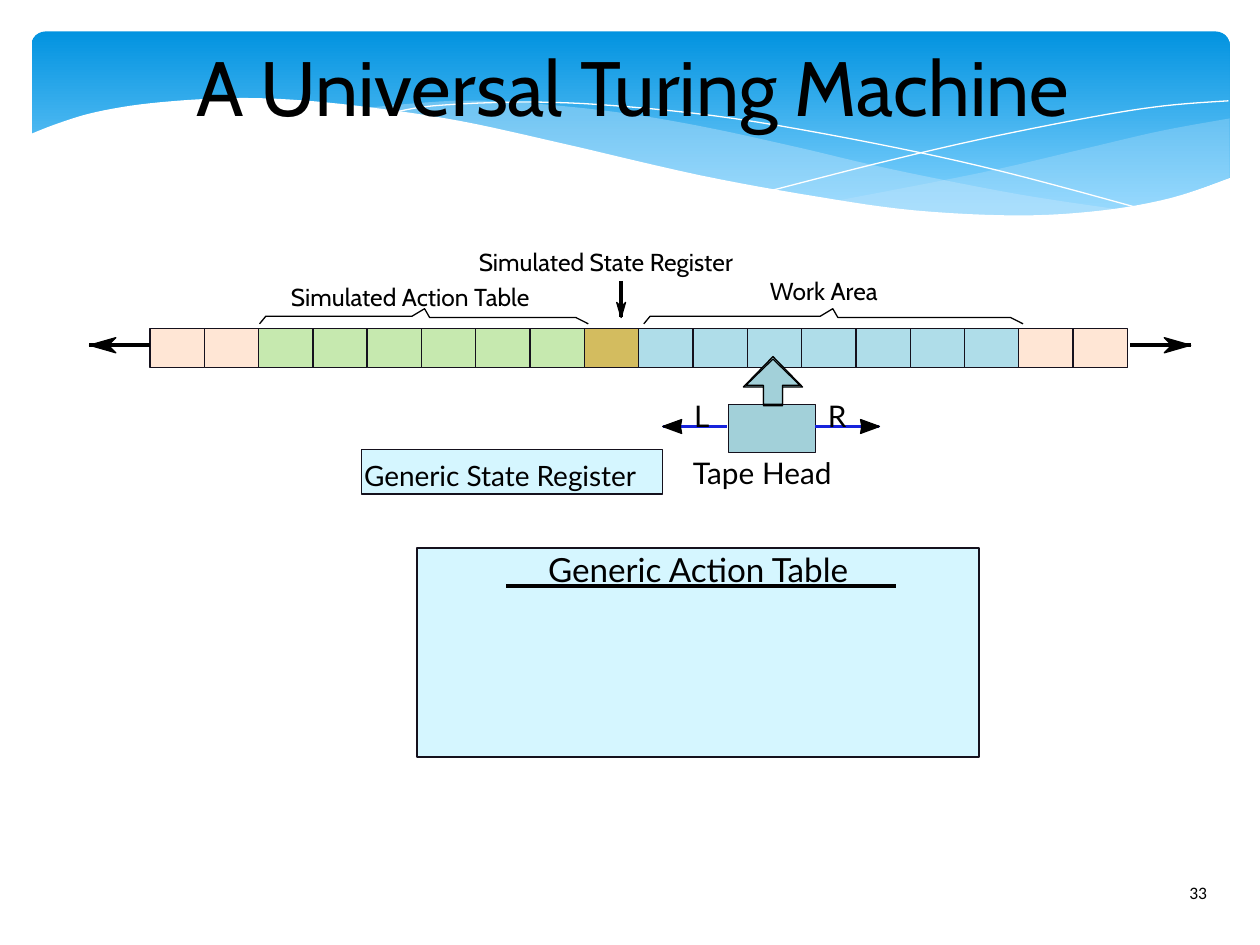
from lxml import etree
from pptx import Presentation
from pptx.dml.color import RGBColor
from pptx.enum.shapes import MSO_CONNECTOR, MSO_SHAPE
from pptx.enum.text import MSO_ANCHOR, MSO_AUTO_SIZE, PP_ALIGN
from pptx.oxml.ns import qn
from pptx.util import Inches, Pt

STRAIGHT = MSO_CONNECTOR.STRAIGHT
RECTANGLE = MSO_SHAPE.RECTANGLE
ROUNDED = MSO_SHAPE.ROUNDED_RECTANGLE
UP_ARROW = MSO_SHAPE.UP_ARROW
MIDDLE = MSO_ANCHOR.MIDDLE
FIT_TEXT = MSO_AUTO_SIZE.SHAPE_TO_FIT_TEXT
CENTER = PP_ALIGN.CENTER

COLUMNS, ROWS = 100, 75
TITLE_ONLY = 5
BLACK, WHITE, OUTLINE = "000000", "FFFFFF", "15111D"
PEACH, GREEN, GOLD, BLUE = "FFE6D5", "C6E9AF", "D3BC5F", "AFDDE9"
PANEL, HEAD, WAVE, MOVE_LINE = "D5F6FF", "A2D0D9", "C6E7FC", "1723DC"


def color(value):
    return RGBColor.from_string(value)


def spline(points, steps=6):
    """Sample a Catmull-Rom curve that passes through the points."""
    padded = [points[0], *points, points[-1]]
    samples = []
    for a, b, c, d in zip(padded, padded[1:], padded[2:], padded[3:]):
        for step in range(steps):
            t = step / steps
            samples.append(tuple(
                0.5 * (2 * q + (r - p) * t + (2 * p - 5 * q + 4 * r - s) * t ** 2
                       + (3 * q - p - 3 * r + s) * t ** 3)
                for p, q, r, s in zip(a, b, c, d)))
    return samples + [points[-1]]


class SlideBuilder:
    """Draws on one slide; all positions are in grid columns and rows."""

    def __init__(self, deck):
        self.column = deck.slide_width / COLUMNS
        self.row = deck.slide_height / ROWS
        self.slide = deck.slides.add_slide(deck.slide_layouts[TITLE_ONLY])
        self.shapes = self.slide.shapes

    def emu(self, x, y):
        return round(x * self.column), round(y * self.row)

    def paint(self, shape, fill=None, line=None, opacity=None):
        shape.shadow.inherit = False
        if fill:
            shape.fill.solid()
            shape.fill.fore_color.rgb = color(fill)
        else:
            shape.fill.background()
        if opacity:
            tint = shape._element.spPr.find(".//" + qn("a:srgbClr"))
            etree.SubElement(tint, qn("a:alpha"), val=str(opacity * 1000))
        if line:
            shape.line.color.rgb = color(line)
            shape.line.width = Pt(0)
        else:
            shape.line.fill.background()

    def preset(self, kind, x, y, width, height, fill, line=None, adjust=()):
        shape = self.shapes.add_shape(kind, *self.emu(x, y), *self.emu(width, height))
        for index, value in enumerate(adjust):
            shape.adjustments[index] = value
        self.paint(shape, fill, line)
        return shape

    def banner(self, x, y, width, height, top, bottom):
        shape = self.preset(ROUNDED, x, y, width, height, top, adjust=(0.071,))
        shape.fill.gradient()
        shape.fill.gradient_angle = 270
        for stop, place, value in zip(shape.fill.gradient_stops, (0, 0.9), (top, bottom)):
            stop.position = place
            stop.color.rgb = color(value)

    def outline(self, points, fill=None, line=None, opacity=None):
        """Draw a closed shape if it has a fill, otherwise an open line."""
        start, *others = [self.emu(*point) for point in points]
        builder = self.shapes.build_freeform(*start)
        builder.add_line_segments(others, close=bool(fill))
        self.paint(builder.convert_to_shape(), fill, line, opacity)

    def line(self, start, end, value=BLACK):
        connector = self.shapes.add_connector(STRAIGHT, *self.emu(*start), *self.emu(*end))
        connector.line.color.rgb = color(value)
        connector.line.width = Pt(0)
        etree.SubElement(connector._element.spPr, qn("a:effectLst"))

    def arrow(self, start, end, length, half, notch, value=BLACK):
        """Draw a line with a notched head; head sizes are measured from the tip."""
        self.line(start, end, value)
        (x, y), span = end, abs(end[0] - start[0]) + abs(end[1] - start[1])
        dx, dy = (end[0] - start[0]) / span, (end[1] - start[1]) / span
        offsets = [(0, 0), (length, half), (notch, 0), (length, -half)]
        self.outline([(x - dx * back - dy * side, y - dy * back + dx * side)
                      for back, side in offsets], BLACK, BLACK)

    def brace(self, left, middle, right):
        self.outline([(left, 25.7), (left + 0.5, 25.1), (middle - 1, 25.1), (middle, 24.5),
                      (middle + 0.4, 25.2), (right - 1, 25.2), (right, 25.7)], line=BLACK)

    def set_text(self, frame, text, size, font):
        frame.text = text
        para = frame.paragraphs[0]
        para.font.size, para.font.name = Pt(size), font
        para.font.color.rgb = color(BLACK)
        return para

    def remove_insets(self, frame):
        frame.margin_left = frame.margin_right = 0
        frame.margin_top = frame.margin_bottom = 0

    def title(self, x, y, width, height, text):
        box = self.shapes.title
        box.left, box.top = self.emu(x, y)
        box.width, box.height = self.emu(width, height)
        self.remove_insets(box.text_frame)
        box.text_frame.vertical_anchor = MIDDLE
        self.set_text(box.text_frame, text, 44, "Cabin").alignment = CENTER
        self.shapes._spTree.append(box._element)  # in front of the banner

    def label(self, x, y, width, height, text, size, font):
        box = self.shapes.add_textbox(*self.emu(x, y), *self.emu(width, height))
        self.remove_insets(box.text_frame)
        box.text_frame.word_wrap = False
        box.text_frame.auto_size = FIT_TEXT
        self.set_text(box.text_frame, text, size, font)

    def page_number(self, x, y, width, height, text):
        box = self.shapes.add_textbox(*self.emu(x, y), *self.emu(width, height))
        box.text_frame.word_wrap = True
        self.set_text(box.text_frame, text, 10, "Calibri")


def draw_banner(page):
    page.banner(2.5, 2.5, 95.1, 15.6, "0293E0", "83D3FE")
    right_wave = spline([(97.6, 9.4), (92.1, 10.4), (86.1, 11.8), (77.9, 13.7), (66.1, 16)])
    right_wave += spline([(66.1, 16), (73.2, 16.8), (80.3, 17.2), (86.3, 17),
                          (92.1, 16), (97.6, 14.1)])
    page.outline(right_wave, WAVE, opacity=29)
    middle_wave = spline([(89.3, 16.7), (80.7, 15.4), (70.6, 13.4), (62.9, 11.6), (55.5, 10),
                          (48.9, 8.9), (42, 8.2), (36.1, 8), (28.6, 8.6)])
    middle_wave += spline([(28.6, 8.6), (36.2, 9.7), (44.9, 11.6), (56.6, 14.3), (65, 15.8),
                           (73.6, 16.9), (80.7, 17.3), (85.7, 17.1), (89.3, 16.7)])
    page.outline(middle_wave, WAVE, opacity=40)
    page.outline(spline([(30.9, 9), (34.4, 8.4), (41.6, 8.1), (48.9, 8.4), (58.2, 9.4),
                         (69.5, 11.4), (79.5, 13.6), (90.7, 16.6)]), line=WHITE)
    page.outline(spline([(61.3, 15.1), (69.5, 13), (77.6, 11.1), (86.6, 9.3),
                         (92.4, 8.4), (97.5, 8)]), line=WHITE)
    lower_edge = spline([(97.7, 14.1), (93, 15.7), (87.5, 16.7), (80.9, 17.1), (72.6, 16.7),
                         (64.8, 15.6), (55.5, 13.9), (44.7, 11.4), (36.5, 9.6), (29.2, 8.5),
                         (23, 7.9), (17.7, 7.8), (11.9, 8.2), (7.6, 8.9), (4.6, 9.8), (2.3, 10.7)])
    page.outline(lower_edge + [(2.3, 22.4), (97.7, 22.4)], WHITE)


def draw_tape(page):
    left, pitch = 11.9, 4.31
    cells = [PEACH] * 2 + [GREEN] * 6 + [GOLD] + [BLUE] * 7 + [PEACH] * 2
    for index, fill in enumerate(cells):
        page.preset(RECTANGLE, left + index * pitch, 26.1, pitch, 3.1, fill, OUTLINE)
    for start, end in ((89.7, 94.5), (11.9, 7.1)):
        page.arrow((start, 27.4), (end, 27.4), 2.1, 0.6, 1.5)
    page.brace(20.6, 33.7, 46.7)
    page.brace(51.1, 66.1, 81.2)
    page.arrow((49.3, 22.3), (49.3, 25.2), 1.2, 0.35, 0.8)
    page.label(23.1, 22.4, 20.4, 2.4, "Simulated Action Table", 14, "Cabin")
    page.label(38, 19.6, 21.7, 2.4, "Simulated State Register", 14, "Cabin")
    page.label(61.1, 21.9, 9.1, 2.4, "Work Area", 14, "Cabin")


def draw_tape_head(page):
    page.preset(RECTANGLE, 57.8, 32.1, 6.9, 3.8, HEAD, OUTLINE)
    page.preset(UP_ARROW, 59, 28.3, 4.7, 3.9, HEAD, BLACK, (0.32, 0.62))
    page.preset(UP_ARROW, 59.2, 28.5, 4.3, 3.6, HEAD, BLACK, (0.35, 0.58))
    page.label(55, 36.1, 11.6, 2.9, "Tape Head", 17, "Lato")
    for start, end in ((57.7, 52.6), (64.7, 69.8)):
        page.arrow((start, 33.85), (end, 33.85), 1.5, 0.55, 1.4, MOVE_LINE)
    page.label(55.1, 31.6, 2.5, 3.4, "L", 17, "Lato")
    page.label(65.7, 31.6, 2.9, 3.4, "R", 17, "Lato")


def draw_generic_machine(page):
    page.preset(RECTANGLE, 28.7, 35.7, 23.9, 3.5, PANEL, OUTLINE)
    page.label(28.9, 36.4, 22.7, 2.7, "Generic State Register", 16, "Lato")
    page.preset(RECTANGLE, 33.1, 43.5, 44.6, 16.6, PANEL, OUTLINE)
    page.label(43.5, 43.6, 24.5, 3.2, "Generic Action Table", 19, "Lato")
    page.line((40.2, 46.5), (71.1, 46.5))


def main():
    deck = Presentation()
    deck.slide_width, deck.slide_height = Inches(10), Inches(7.5)
    page = SlideBuilder(deck)
    draw_banner(page)
    page.title(9.7, 3.1, 81.1, 7.4, "A Universal Turing Machine")
    draw_tape(page)
    draw_tape_head(page)
    draw_generic_machine(page)
    page.page_number(93.4, 69.5, 6.1, 4, "33")
    deck.save("out.pptx")


if __name__ == "__main__":
    main()
